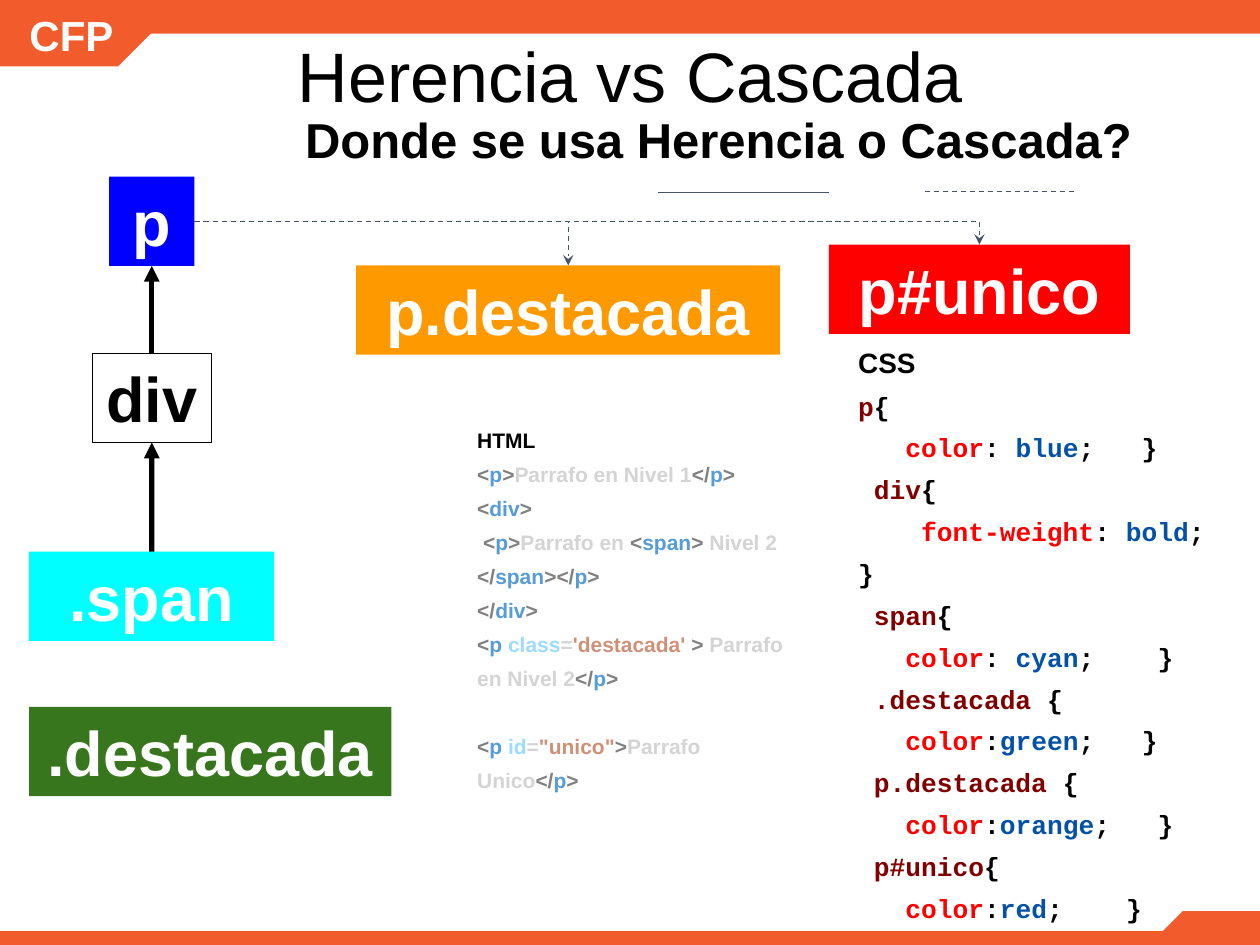
from lxml.etree import SubElement
from pptx import Presentation
from pptx.dml.color import RGBColor
from pptx.enum.dml import MSO_LINE
from pptx.enum.shapes import MSO_CONNECTOR, MSO_SHAPE
from pptx.enum.text import MSO_ANCHOR, MSO_AUTO_SIZE, PP_ALIGN
from pptx.oxml.ns import qn
from pptx.util import Cm, Pt

ORANGE, SLATE = "F25B2C", "44546A"
HTML_SPACING, CSS_SPACING = 1.35, 1.33
CHARACTER = 9  # width of one Courier New character at 15 pt, in points
TOP, LEFT, BOTTOM, RIGHT = range(4)

# One letter per piece of an HTML line, pieces separated by "|"
HTML_COLORS = {"g": "808080", "t": "569CD6", "w": "D4D4D4", "a": "9CDCFE", "v": "CE9178"}
HTML_LINES = [
    ("gtgwgtg", "<|p|>|Parrafo en Nivel 1|</|p|>"),
    ("gtg", "<|div|>"),
    ("wgtgwgtgwgtgtg", " |<|p|>|Parrafo en |<|span|>| Nivel 2 |</|span|></|p|>"),
    ("gtg", "</|div|>"),
    ("gtawvgwgtg", "<|p |class|=|'destacada' |>| Parrafo en Nivel 2|</|p|>"),
    ("gtawvgwgtg", "<|p |id|=|\"unico\"|>|Parrafo Unico|</|p|>"),
]
# Selector, brace, indent, property, colon, value, gap before the closing brace (0: next line)
CSS_RULES = [
    ("p", "{", 3, "color", ": ", "blue", 3),
    ("div", "{", 4, "font-weight", ": ", "bold", 0),
    ("span", "{", 3, "color", ": ", "cyan", 4),
    (".destacada", " {", 3, "color", ":", "green", 3),
    ("p.destacada", " {", 3, "color", ":", "orange", 3),
    ("p#unico", "{", 3, "color", ":", "red", 4),
]


def rgb(color):
    return RGBColor.from_string(color)


def format_run(run, size, color="000000", bold=True, name="Arial"):
    run.font.size = Pt(size)
    run.font.name = name
    run.font.bold = bold
    run.font.color.rgb = rgb(color)


def add_run(paragraph, text, *style):
    run = paragraph.add_run()
    run.text = text
    format_run(run, *style)
    return run


def set_margins(frame, side, end):
    frame.word_wrap = True
    frame.auto_size = MSO_AUTO_SIZE.NONE
    frame.margin_left = frame.margin_right = Cm(side)
    frame.margin_top = frame.margin_bottom = Cm(end)


def add_box(slide, box, fill, kind=MSO_SHAPE.RECTANGLE, line=None):
    shape = slide.shapes.add_shape(kind, *map(Cm, box))
    shape.shadow.inherit = False
    shape.fill.solid()
    shape.fill.fore_color.rgb = rgb(fill)
    if line:
        shape.line.color.rgb = rgb(line)
        shape.line.width = Pt(0.75)
    else:
        shape.line.fill.background()
    return shape


def add_tab(slide, box, rotation=0):
    """Bar end with one corner cut off, mirrored left to right."""
    shape = add_box(slide, box, ORANGE, MSO_SHAPE.SNIP_1_RECTANGLE)
    shape.adjustments[0] = 0.5
    shape.rotation = rotation
    shape._element.spPr.find(qn("a:xfrm")).set("flipH", "1")


def write_label(shape, text, size, color="FFFFFF"):
    frame = shape.text_frame
    set_margins(frame, 0.25, 0.25)
    frame.vertical_anchor = MSO_ANCHOR.MIDDLE
    frame.text = text
    frame.paragraphs[0].alignment = PP_ALIGN.CENTER
    format_run(frame.paragraphs[0].runs[0], size, color)


def add_selector(slide, text, box, fill, color="FFFFFF", line=None):
    shape = add_box(slide, box, fill, line=line)
    write_label(shape, text, 36, color)
    return shape


def add_line(slide, ends, color, width, dashed=False, head=None, kind=MSO_CONNECTOR.STRAIGHT):
    connector = slide.shapes.add_connector(kind, *map(Cm, ends))
    connector.line.color.rgb = rgb(color)
    connector.line.width = Pt(width)
    if dashed:
        connector.line.dash_style = MSO_LINE.DASH
    if head:
        SubElement(connector.line._get_or_add_ln(), qn("a:tailEnd"), type=head)
    SubElement(connector._element.spPr, qn("a:effectLst"))
    return connector


def join(connector, start, start_side, end, end_side):
    connector.begin_connect(start, start_side)
    connector.end_connect(end, end_side)


def add_frame(slide, width, height):
    # Footer
    add_box(slide, (0, height - 0.28, width, 0.4), ORANGE)
    add_tab(slide, (width - 1.95, height - 0.68, 1.95, 0.79))
    # Header
    add_box(slide, (2.84, 0, width - 2.84, 0.68), ORANGE)
    add_tab(slide, (0, 0, 3.05, 1.34), 180)
    write_label(slide.shapes.add_textbox(Cm(0.17), Cm(0.1), Cm(2.54), Cm(1.2)), "CFP", 24)


def fill_placeholder(shape, box, text, size, bold, alignment, anchor):
    shape.left, shape.top, shape.width, shape.height = map(Cm, box)
    frame = shape.text_frame
    set_margins(frame, 0.25, 0.13)
    frame.vertical_anchor = anchor
    frame.text = text
    paragraph = frame.paragraphs[0]
    paragraph.alignment = alignment
    paragraph.line_spacing = 0.9
    format_run(paragraph.runs[0], size, "000000", bold)
    return paragraph


def add_headings(slide):
    title, body = slide.placeholders
    fill_placeholder(title, (1.75, -0.08, 21.9, 3.38), "Herencia vs Cascada", 40, False,
                     PP_ALIGN.CENTER, MSO_ANCHOR.MIDDLE)
    paragraph = fill_placeholder(body, (5.9, 2.21, 17.75, 2), "Donde se usa Herencia o Cascada?",
                                 28, True, PP_ALIGN.LEFT, MSO_ANCHOR.TOP)
    paragraph.space_before = Pt(10)
    properties = paragraph._p.get_or_add_pPr()
    properties.set("marL", "0")
    properties.set("indent", "0")
    SubElement(properties, qn("a:buNone"))


def add_inheritance(slide, left, top):
    """Column of selectors, each inheriting from the one above; returns the topmost."""
    center, height = left + 2.47, 1.8
    boxes = []
    for text, offset, width, fill, color, line in [
        ("p", 0, 1.72, "0000FF", "FFFFFF", None),
        ("div", 3.56, 2.4, "FFFFFF", "000000", "000000"),
        (".span", 7.56, 4.94, "00FFFF", "FFFFFF", None),
    ]:
        box = (center - width / 2, top + offset, width, height)
        boxes.append(add_selector(slide, text, box, fill, color, line))
    for parent, child in zip(boxes, boxes[1:]):
        arrow = add_line(slide, (0, 0, 0, 0), "000000", 3, head="triangle")
        join(arrow, child, TOP, parent, BOTTOM)
    add_selector(slide, ".destacada", (left, top + 10.69, 7.3, height), "38761D")
    return boxes[0]


def add_cascade(slide, left, top, source):
    """Selectors that override the source, with the key lines above them."""
    for text, x, y, width, fill in [
        ("p.destacada", 0, 1.47, 8.55, "FF9900"),
        ("p#unico", 9.53, 1.05, 6.07, "FF0000"),
    ]:
        target = add_selector(slide, text, (left + x, top + y, width, 1.8), fill)
        arrow = add_line(slide, (0, 0, 1, 1), SLATE, 0.75, True, "stealth", MSO_CONNECTOR.ELBOW)
        join(arrow, source, RIGHT, target, TOP)
        arrow._element.spPr.find(qn("a:prstGeom")).set("prst", "bentConnector2")
    for start, end, y, dashed in [(6.08, 9.53, 0, False), (11.46, 14.48, -0.02, True)]:
        add_line(slide, (left + start, top + y, left + end, top + y), SLATE, 0.75, dashed)


def add_code_box(slide, box, heading, size, spacing):
    frame = slide.shapes.add_textbox(*map(Cm, box)).text_frame
    set_margins(frame, 0.25, 0.25)
    frame.paragraphs[0].line_spacing = spacing
    add_run(frame.paragraphs[0], heading, size)
    return frame


def add_code_line(frame, pieces, spacing, size, name, indent=0):
    paragraph = frame.add_paragraph()
    paragraph.line_spacing = spacing
    properties = paragraph._p.get_or_add_pPr()
    properties.set("marL", "0")
    properties.set("indent", str(Pt(indent * CHARACTER)))
    for text, color in pieces:
        add_run(paragraph, text, size, color, True, name)
    return paragraph


def add_html(slide, box):
    frame = add_code_box(slide, box, "HTML", 12, HTML_SPACING)
    for keys, line in HTML_LINES:
        pieces = [(text, HTML_COLORS[key]) for key, text in zip(keys, line.split("|"))]
        paragraph = add_code_line(frame, pieces, HTML_SPACING, 12, "Arial")
    paragraph.space_before = Pt(19.4)


def add_css(slide, box):
    frame = add_code_box(slide, box, "CSS", 16, CSS_SPACING)
    style = (CSS_SPACING, 15, "Courier New")
    black = (15, "000000", True, "Courier New")
    for number, (selector, brace, indent, name, colon, value, gap) in enumerate(CSS_RULES):
        add_code_line(frame, [(selector, "800000"), (brace, "000000")], *style, min(number, 1))
        pieces = [(name, "FF0000"), (colon, "000000"), (value, "0451A5"), (";", "000000")]
        paragraph = add_code_line(frame, pieces, *style, indent)
        if gap:
            # Letter spacing widens the single space to the whole gap
            space = add_run(paragraph, " ", *black)
            space._r.get_or_add_rPr().set("spc", str((gap - 1) * CHARACTER * 100))
        else:
            paragraph.add_line_break()
        add_run(paragraph, "}", *black)


def main():
    presentation = Presentation()
    presentation.slide_width, presentation.slide_height = Cm(25.4), Cm(19.05)
    slide = presentation.slides.add_slide(presentation.slide_layouts[1])
    add_frame(slide, 25.4, 19.05)
    add_headings(slide)
    source = add_inheritance(slide, 0.59, 3.56)
    add_cascade(slide, 7.18, 3.88, source)
    add_html(slide, (9.37, 8.2, 6.8, 8.6))
    add_css(slide, (17.05, 6.5, 8.2, 12.55))
    presentation.save("out.pptx")


if __name__ == "__main__":
    main()
